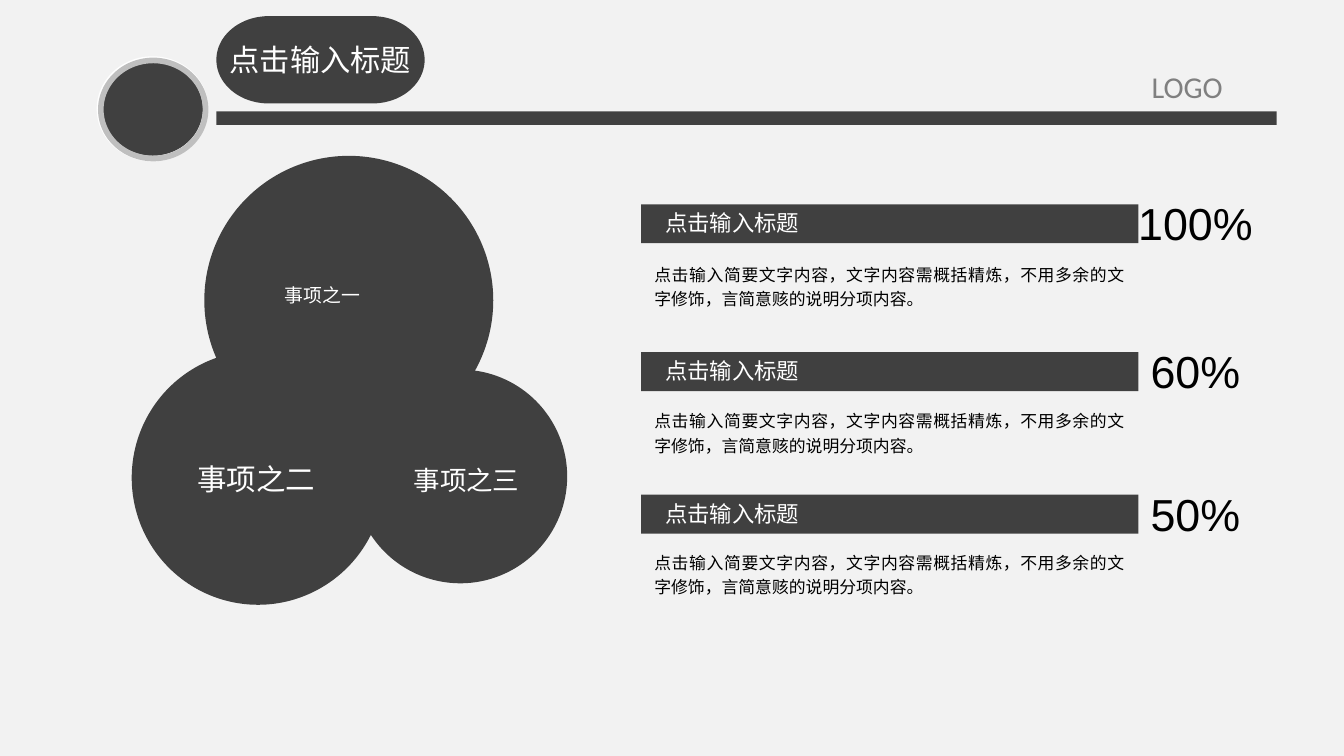
from math import cos, pi, sin

from lxml.etree import SubElement
from pptx import Presentation
from pptx.dml.color import RGBColor
from pptx.enum.shapes import MSO_SHAPE
from pptx.enum.text import MSO_ANCHOR, PP_ALIGN
from pptx.oxml.ns import qn
from pptx.util import Inches, Pt

BACKGROUND = RGBColor(0xF2, 0xF2, 0xF2)
DARK = RGBColor(0x40, 0x40, 0x40)
RING = RGBColor(0xBF, 0xBF, 0xBF)
GRAY = RGBColor(0x80, 0x80, 0x80)
WHITE = RGBColor(0xFF, 0xFF, 0xFF)
BLACK = RGBColor(0x00, 0x00, 0x00)
CJK = "Noto Sans CJK SC"
TITLE = "点击输入标题"
BODY = "点击输入简要文字内容，文字内容需概括精炼，不用多余的文字修饰，言简意赅的说明分项内容。"

CIRCLES = [
    ((1.52, 1.16, 2.15, 2.15), "事项之一", (2.02, 2.06, 0.77, 0.27), 10.1),
    ((0.98, 2.61, 1.88, 1.89), "事项之二", (1.37, 3.38, 1.09, 0.37), 15.8),
    ((2.63, 2.75, 1.59, 1.59), "事项之三", (2.98, 3.4, 1, 0.34), 14.2),
]
ITEMS = [("100%", 1.52, 1.89), ("60%", 2.62, 2.98), ("50%", 3.68, 4.03)]


def box(values):
    return [Inches(v) for v in values]


def style_shape(sp, fill):
    sp.shadow.inherit = False
    sp.fill.solid()
    sp.fill.fore_color.rgb = fill
    sp.line.fill.background()


def add_solid(slide, kind, at, fill=DARK):
    sp = slide.shapes.add_shape(kind, *box(at))
    style_shape(sp, fill)
    return sp


def add_ring(slide, at, color):
    sp = slide.shapes.add_shape(MSO_SHAPE.OVAL, *box(at))
    sp.shadow.inherit = False
    sp.fill.background()
    sp.line.color.rgb = color
    sp.line.width = Pt(3)


def add_tab(slide, left, top, width, height, rx):
    ry, steps = height / 2, 40
    points = []
    for cx, start in ((left + width - rx, -pi / 2), (left + rx, pi / 2)):
        for i in range(steps + 1):
            angle = start + pi * i / steps
            points.append((Inches(cx + rx * cos(angle)),
                           Inches(top + ry + ry * sin(angle))))
    builder = slide.shapes.build_freeform(*points[0])
    builder.add_line_segments(points[1:], close=True)
    style_shape(builder.convert_to_shape(), DARK)


def write(sp, text, size, color, font=CJK, wrap=True, align=PP_ALIGN.LEFT):
    tf = sp.text_frame
    tf.text = text
    tf.word_wrap = wrap
    tf.vertical_anchor = MSO_ANCHOR.TOP
    p = tf.paragraphs[0]
    p.alignment = align
    r = p.runs[0]
    r.font.size = Pt(size)
    r.font.name = font
    r.font.color.rgb = color
    SubElement(r.font._element, qn("a:ea")).set("typeface", font)
    return tf


def add_text(slide, at, text, size, color, **options):
    return write(slide.shapes.add_textbox(*box(at)), text, size, color, **options)


def add_header(slide):
    add_text(slide, (8.47, 0.46, 0.88, 0.37), "LOGO", 16.2, GRAY, font="Calibri")
    add_solid(slide, MSO_SHAPE.OVAL, (0.74, 0.46, 0.79, 0.71))
    add_ring(slide, (0.74, 0.44, 0.79, 0.74), WHITE)
    add_ring(slide, (0.75, 0.45, 0.78, 0.73), RING)
    add_solid(slide, MSO_SHAPE.RECTANGLE, (1.61, 0.83, 7.89, 0.1))
    add_tab(slide, 1.61, 0.12, 1.55, 0.65, 0.39)
    add_text(slide, (1.61, 0.26, 1.63, 0.37), TITLE, 16.2, WHITE,
             font="Noto Sans CJK JP")


def add_circle(slide, at, label, label_at, size):
    add_solid(slide, MSO_SHAPE.OVAL, at)
    sp = add_solid(slide, MSO_SHAPE.RECTANGLE, label_at)
    write(sp, label, size, WHITE, wrap=False)


def add_item(slide, percent, top, body_top):
    add_solid(slide, MSO_SHAPE.RECTANGLE, (4.77, top, 3.7, 0.29))
    add_text(slide, (4.85, top - 0.01, 1.21, 0.3), TITLE, 12, WHITE, wrap=False)
    tf = add_text(slide, (4.77, body_top, 3.69, 0.47), BODY, 9, BLACK,
                  align=PP_ALIGN.JUSTIFY)
    tf.paragraphs[0].line_spacing = Pt(13)
    tf = add_text(slide, (8.46, top - 0.06, 0.87, 0.4), percent, 24, BLACK,
                  font="Arial", align=PP_ALIGN.CENTER)
    tf.margin_left = tf.margin_right = tf.margin_top = tf.margin_bottom = 0


def main():
    """Build the slide with three circles and three percentage items."""
    prs = Presentation()
    prs.slide_width = Inches(10)
    prs.slide_height = Inches(10 * 9 / 16)
    slide = prs.slides.add_slide(prs.slide_layouts[6])
    slide.background.fill.solid()
    slide.background.fill.fore_color.rgb = BACKGROUND
    add_header(slide)
    for circle in CIRCLES:
        add_circle(slide, *circle)
    for item in ITEMS:
        add_item(slide, *item)
    prs.save("out.pptx")


if __name__ == "__main__":
    main()
